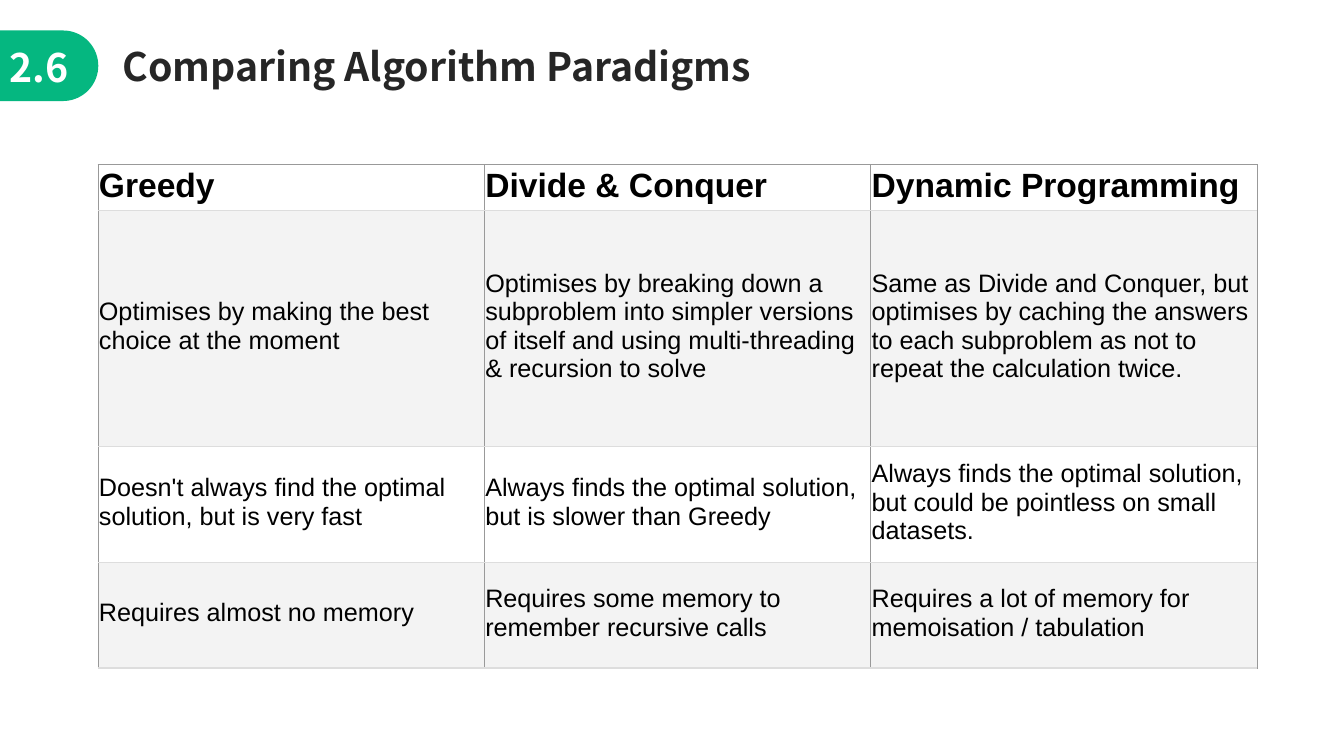
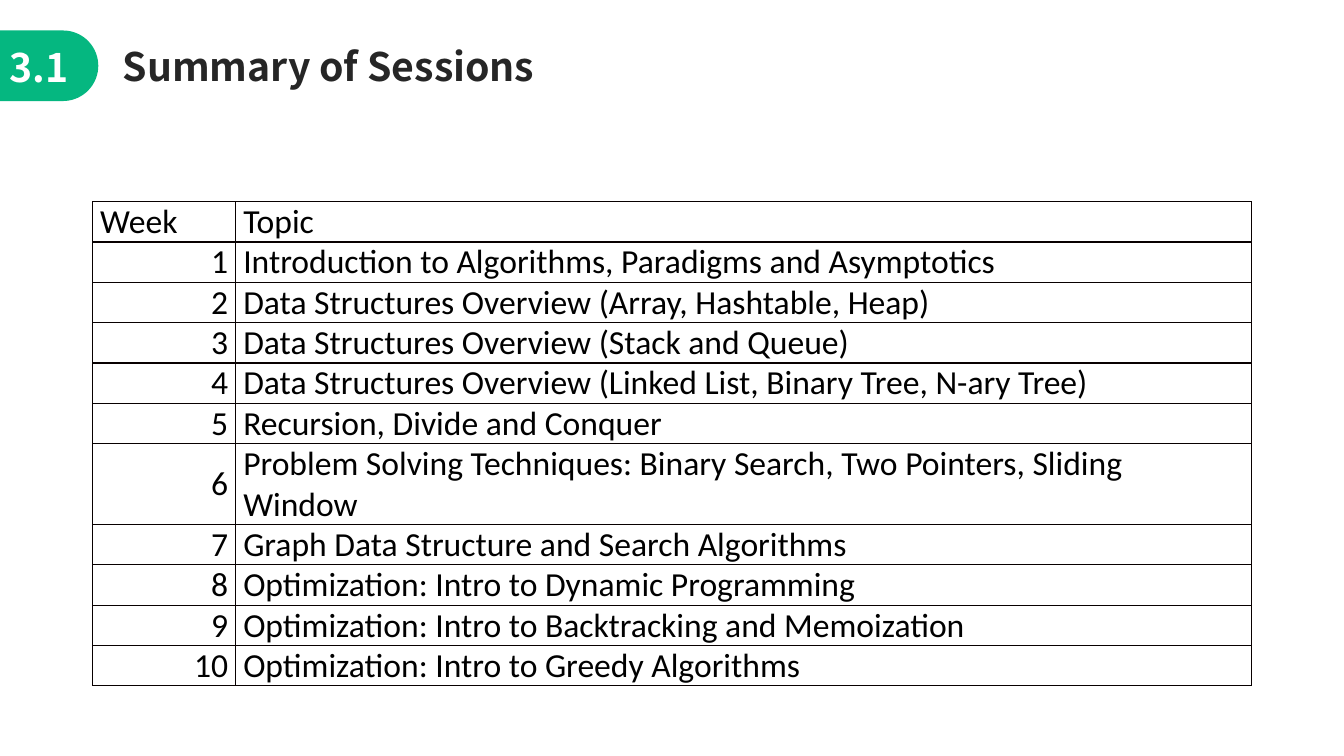
"""Build two lesson slides, each with a numbered tab, a title and a table."""
import math

import pptx
import pptx.dml.color
import pptx.enum.text
import pptx.util
from lxml import etree
from pptx.oxml.ns import qn

Pt = pptx.util.Pt
ALIGN = pptx.enum.text.PP_ALIGN


def tint(code):
    return pptx.dml.color.RGBColor.from_string(code)


class Deck:
    GREEN, WHITE, DARK, BLACK = "05B780", "FFFFFF", "262626", "000000"
    HEAD = "Noto Sans CJK SC"

    def __init__(self):
        self.file = pptx.Presentation()
        self.file.slide_width, self.file.slide_height = Pt(960), Pt(540)

    def page(self, mark, title):
        self.slide = self.file.slides.add_slide(self.file.slide_layouts[6])
        self.tab(45, 47, 25.2)
        self.text(mark, 0, 27.4, 64, self.WHITE)
        self.text(title, 80.6, 26.6, 691, self.DARK)

    def tab(self, mid, level, reach):
        turns = [math.radians(step) for step in range(-90, 91, 5)]
        curve = [(Pt(mid + reach * math.cos(turn)), Pt(level + reach * math.sin(turn)))
                 for turn in turns]
        form = self.slide.shapes.build_freeform(0, Pt(level - reach))
        form.add_line_segments(curve + [(0, Pt(level + reach))], close=True)
        shape = form.convert_to_shape()
        shape.shadow.inherit = False
        shape.fill.solid()
        shape.fill.fore_color.rgb = tint(self.GREEN)
        shape.line.fill.background()

    def style(self, par, face, size, color, bold=False):
        par.font.name, par.font.size, par.font.bold = face, Pt(size), bold
        par.font.color.rgb = tint(color)

    def text(self, words, left, top, width, color):
        box = self.slide.shapes.add_textbox(Pt(left), Pt(top), Pt(width), Pt(41))
        frame = box.text_frame
        frame.word_wrap = True
        frame.auto_size = pptx.enum.text.MSO_AUTO_SIZE.SHAPE_TO_FIT_TEXT
        frame.text = words
        self.style(frame.paragraphs[0], self.HEAD, 28, color, True)

    def table(self, rows, left, top, widths, heights):
        grid = self.slide.shapes.add_table(
            len(rows), len(widths), Pt(left), Pt(top),
            Pt(sum(widths)), Pt(sum(heights))).table
        grid.first_row = grid.horz_banding = False
        for col, width in zip(grid.columns, widths):
            col.width = Pt(width)
        for row, height in zip(grid.rows, heights):
            row.height = Pt(height)
        for row, words in zip(grid.rows, rows):
            for cell, word in zip(row.cells, words):
                cell.text = word
                cell.vertical_anchor = pptx.enum.text.MSO_ANCHOR.MIDDLE
        return grid

    def inset(self, cell, left, top, right, bottom):
        cell.margin_left, cell.margin_top = Pt(left), Pt(top)
        cell.margin_right, cell.margin_bottom = Pt(right), Pt(bottom)

    def edges(self, cell, **sides):
        props = cell._tc.get_or_add_tcPr()
        for side in "LRTB":
            color, width = sides[side]
            line = etree.SubElement(props, qn("a:ln" + side), w=str(Pt(width)))
            fill = etree.SubElement(line, qn("a:solidFill"))
            etree.SubElement(fill, qn("a:srgbClr"), val=color)

    def compare(self, rows):
        gray, pale = ("999999", 0.5), ("DDDDDD", 0.5)
        grid = self.table(rows, 70, 117.4, [276] * 3, [30, 168, 83.5, 75])
        for num, row in enumerate(grid.rows):
            first, last = num == 0, num == len(rows) - 1
            for cell in row.cells:
                self.inset(cell, 0.7, 0.7, 0.7, 3.6)
                self.edges(cell, L=gray, R=gray, T=gray if first else pale,
                           B=("DDDDDD", 1.5) if last else pale)
                cell.fill.solid()
                cell.fill.fore_color.rgb = tint("F3F3F3" if num % 2 else self.WHITE)
                self.style(cell.text_frame.paragraphs[0], "Arial",
                           24 if first else 18, self.BLACK, first)

    def agenda(self, topics):
        rows = [("Week", "Topic")]
        rows += [(str(week), topic) for week, topic in enumerate(topics, 1)]
        grid = self.table(rows, 66.2, 144, [102.2, 725.8], [15] * len(rows))
        line = ("080000", 1)
        for num, row in enumerate(grid.rows):
            for cell in row.cells:
                self.inset(cell, 5.4, 0, 5.4, 0)
                self.edges(cell, L=line, R=line, T=line, B=line)
                cell.fill.background()
                self.style(cell.text_frame.paragraphs[0], "Calibri", 24, self.BLACK)
            if num:
                row.cells[0].text_frame.paragraphs[0].alignment = ALIGN.RIGHT


deck = Deck()
deck.page("2.6", "Comparing Algorithm Paradigms")
deck.compare([
    ("Greedy", "Divide & Conquer", "Dynamic Programming"),
    ("Optimises by making the best choice at the moment",
     "Optimises by breaking down a subproblem into simpler versions of itself "
     "and using multi-threading & recursion to solve",
     "Same as Divide and Conquer, but optimises by caching the answers "
     "to each subproblem as not to repeat the calculation twice."),
    ("Doesn't always find the optimal solution, but is very fast",
     "Always finds the optimal solution, but is slower than Greedy",
     "Always finds the optimal solution, but could be pointless on small datasets."),
    ("Requires almost no memory",
     "Requires some memory to remember recursive calls",
     "Requires a lot of memory for memoisation / tabulation"),
])

deck.page("3.1", "Summary of Sessions")
deck.agenda([
    "Introduction to Algorithms, Paradigms and Asymptotics",
    "Data Structures Overview (Array, Hashtable, Heap)",
    "Data Structures Overview (Stack and Queue)",
    "Data Structures Overview (Linked List, Binary Tree, N-ary Tree)",
    "Recursion, Divide and Conquer",
    "Problem Solving Techniques: Binary Search, Two Pointers, Sliding Window",
    "Graph Data Structure and Search Algorithms",
    "Optimization: Intro to Dynamic Programming",
    "Optimization: Intro to Backtracking and Memoization",
    "Optimization: Intro to Greedy Algorithms",
])
deck.file.save("out.pptx")
